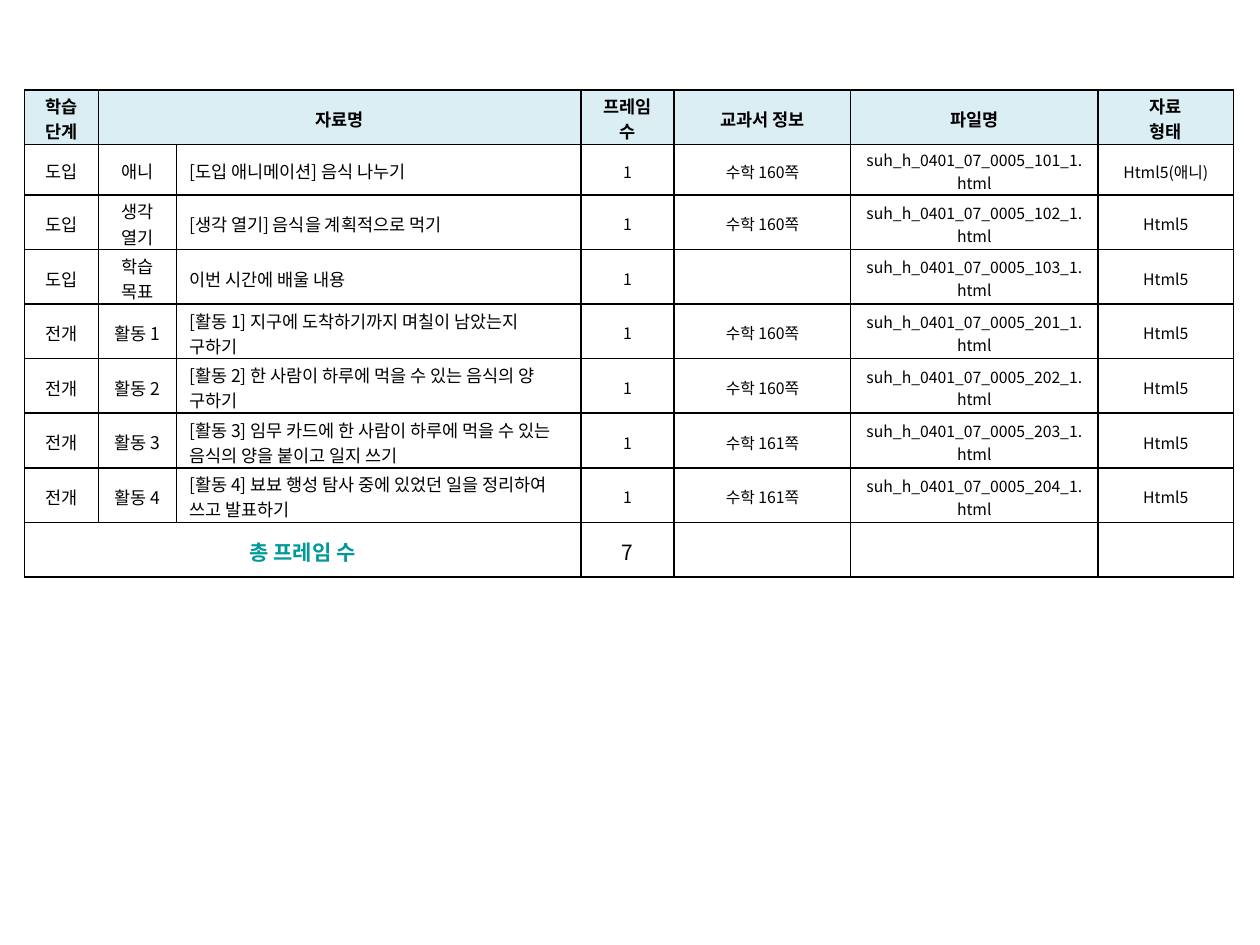
from lxml import etree
from pptx import Presentation
from pptx.dml.color import RGBColor
from pptx.enum.text import MSO_ANCHOR, PP_ALIGN
from pptx.oxml.ns import qn
from pptx.util import Cm, Pt

BLACK = RGBColor(0x00, 0x00, 0x00)
PALE_BLUE = RGBColor(0xDB, 0xEE, 0xF4)
TEAL = RGBColor(0x00, 0x99, 0x99)
FONT = "Noto Sans CJK KR"
MIDDLE = MSO_ANCHOR.MIDDLE
CENTER = PP_ALIGN.CENTER
LEFT = PP_ALIGN.LEFT

COLUMN_WIDTHS = [1.5, 1.57, 8.15, 1.88, 3.56, 4.98, 2.74]
ROW_HEIGHTS = [1.1, 1.02] + [1.1] * 7
COLUMN_SIZES = [10, 10, 10, 9, 9, 9, 9]
TITLE_COLUMN = 2

HEADER = ["학습 단계", "자료명", "", "프레임 수", "교과서 정보", "파일명", "자료\n형태"]
LESSONS = [
    ("도입", "애니", "[도입 애니메이션] 음식 나누기", "수학 160쪽", "101", "Html5(애니)"),
    ("도입", "생각 열기", "[생각 열기] 음식을 계획적으로 먹기", "수학 160쪽", "102", "Html5"),
    ("도입", "학습 목표", "이번 시간에 배울 내용", "", "103", "Html5"),
    ("전개", "활동 1", "[활동 1] 지구에 도착하기까지 며칠이 남았는지 구하기", "수학 160쪽", "201", "Html5"),
    ("전개", "활동 2", "[활동 2] 한 사람이 하루에 먹을 수 있는 음식의 양 구하기", "수학 160쪽", "202", "Html5"),
    ("전개", "활동 3", "[활동 3] 임무 카드에 한 사람이 하루에 먹을 수 있는 음식의 양을 붙이고 일지 쓰기",
     "수학 161쪽", "203", "Html5"),
    ("전개", "활동 4", "[활동 4] 뵤뵤 행성 탐사 중에 있었던 일을 정리하여 쓰고 발표하기",
     "수학 161쪽", "204", "Html5"),
]
TOTAL = ["총 프레임 수", "", "", str(len(LESSONS)), "", "", ""]

rows = [HEADER]
for stage, step, title, pages, number, kind in LESSONS:
    rows.append([stage, step, title, "1", pages, f"suh_h_0401_07_0005_{number}_1.html", kind])
rows.append(TOTAL)
last_row = len(rows) - 1


def add_borders(cell):
    properties = cell._tc.get_or_add_tcPr()
    for side in ("a:lnL", "a:lnR", "a:lnT", "a:lnB"):
        line = etree.SubElement(properties, qn(side), w=str(Pt(1)))
        fill = etree.SubElement(line, qn("a:solidFill"))
        etree.SubElement(fill, qn("a:srgbClr"), val=str(BLACK))


def format_text(cell, size, bold, color, alignment):
    for paragraph in cell.text_frame.paragraphs:
        paragraph.alignment = alignment
        for run in paragraph.runs:
            run.font.size = Pt(size)
            run.font.bold = bold
            run.font.color.rgb = color
            run.font.name = FONT
            latin = run.font._element.find(qn("a:latin"))
            latin.addnext(latin.makeelement(qn("a:ea"), {"typeface": FONT}))


prs = Presentation()
prs.slide_width = Cm(25.4)
prs.slide_height = Cm(19.05)
slide = prs.slides.add_slide(prs.slide_layouts[6])

materials = slide.shapes.add_table(
    len(rows), len(COLUMN_WIDTHS), Cm(0.49), Cm(1.81),
    Cm(sum(COLUMN_WIDTHS)), Cm(sum(ROW_HEIGHTS)),
).table
materials.horz_banding = False
for column, width in zip(materials.columns, COLUMN_WIDTHS):
    column.width = Cm(width)
for row, height in zip(materials.rows, ROW_HEIGHTS):
    row.height = Cm(height)

materials.cell(0, 1).merge(materials.cell(0, 2))
materials.cell(last_row, 0).merge(materials.cell(last_row, 2))

for row_index, texts in enumerate(rows):
    for column_index, text in enumerate(texts):
        cell = materials.cell(row_index, column_index)
        add_borders(cell)
        cell.vertical_anchor = MIDDLE
        cell.margin_top = Cm(0.07)
        cell.margin_bottom = Cm(0)
        size, bold, color, alignment = COLUMN_SIZES[column_index], False, BLACK, CENTER
        if row_index == 0:
            size, bold = 10, True
            cell.margin_left = cell.margin_right = Cm(0.3)
            cell.fill.solid()
            cell.fill.fore_color.rgb = PALE_BLUE
        else:
            cell.fill.background()
            if row_index == last_row:
                size = 12
                if column_index == 0:
                    bold, color = True, TEAL
            elif column_index == TITLE_COLUMN:
                alignment = LEFT
                cell.margin_right = Cm(0.36)
        if text:
            cell.text_frame.text = text
            format_text(cell, size, bold, color, alignment)

prs.save("out.pptx")
